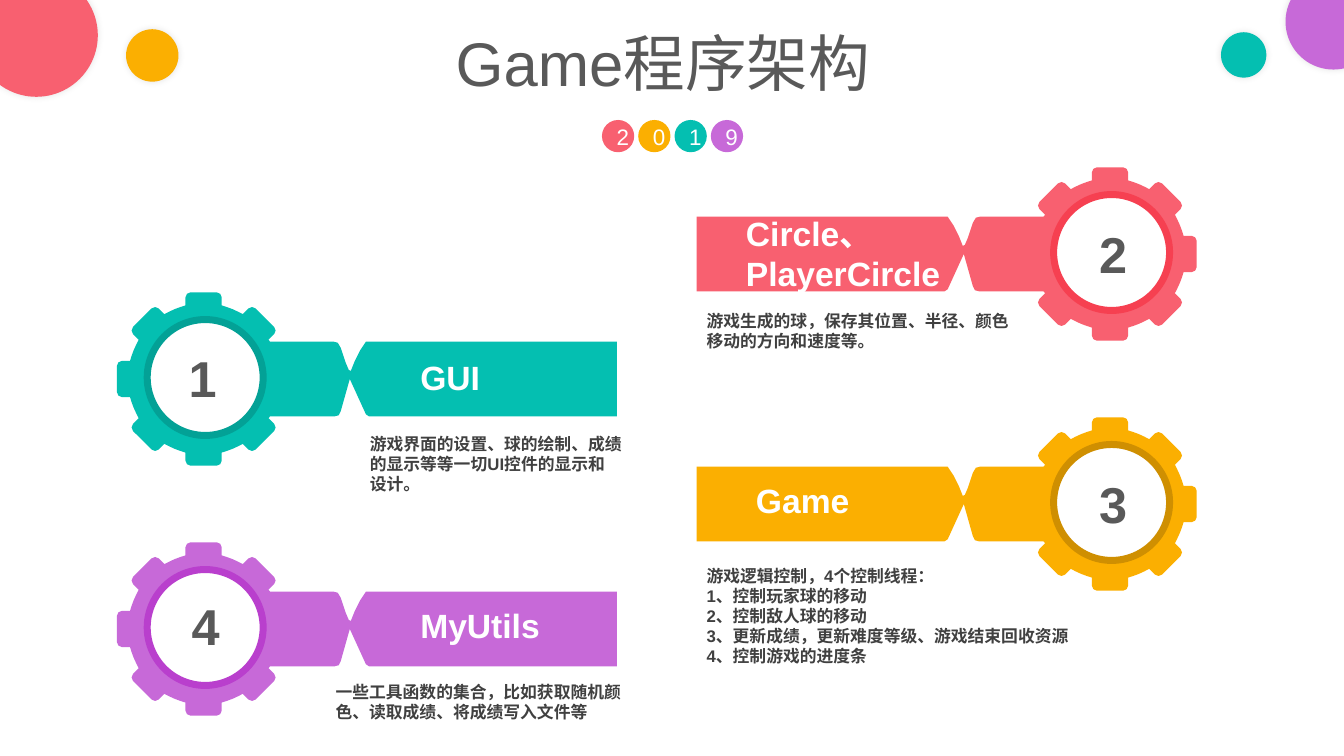
"""Build the slide that shows the four modules of the Game program as gears."""
from math import cos, radians, sin

from lxml.etree import SubElement as Sub
from pptx import Presentation
from pptx.dml.color import RGBColor as Rgb
from pptx.enum.shapes import MSO_SHAPE as Kind
from pptx.enum.text import MSO_ANCHOR as Anchor, MSO_AUTO_SIZE as Fit, PP_ALIGN as Align
from pptx.oxml.ns import qn
from pptx.util import Pt

PX = 9144
THEME = {
    "font": "Arial",
    "red": "F86070", "gold": "FBAF01", "teal": "04BFB1", "plum": "C769D8",
    "red rim": "F64051", "gold rim": "CF8F01", "teal rim": "03A196", "plum rim": "B93FCD",
    "white": "FFFFFF", "gray": "595959", "dark": "404040",
    "title": 44, "digit": 36, "head": 24, "year": 16, "note": 12, "rim": 5,
}


def write(shape, text, size, color, bold=False, align=Align.LEFT, wrap=False,
          anchor=Anchor.TOP, fit=Fit.SHAPE_TO_FIT_TEXT):
    """Put text in a shape, one paragraph a line."""
    frame = shape.text_frame
    frame.text = text
    frame.word_wrap = wrap
    frame.auto_size = fit
    frame.vertical_anchor = anchor
    for para in frame.paragraphs:
        para.alignment = align
        font = para.runs[0].font
        font.name = THEME["font"]
        font.size = Pt(THEME[size])
        font.bold = bold
        font.color.rgb = Rgb.from_string(THEME[color])


def disc(host, left, top, side, color):
    """Add a plain filled circle."""
    shape = host.add_shape(Kind.OVAL, left * PX, top * PX, side * PX, side * PX)
    shape.shadow.inherit = False
    shape.fill.solid()
    shape.fill.fore_color.rgb = Rgb.from_string(THEME[color])
    shape.line.fill.background()
    return shape


deck = Presentation()
deck.slide_width, deck.slide_height = 1333 * PX, 750 * PX
slide = deck.slides.add_slide(deck.slide_layouts[5])
shapes = slide.shapes

title = shapes.title
title.left, title.top, title.width, title.height = 442 * PX, 20 * PX, 435 * PX, 84 * PX
write(title, "Game程序架构", "title", "gray", wrap=True)

year = shapes.add_group_shape().shapes
for i, (digit, color) in enumerate(zip("2019", ("red", "gold", "teal", "plum"))):
    dot = disc(year, 597 + 36 * i, 119, 32, color)
    write(dot, digit, "year", "white", align=Align.CENTER, wrap=True,
          anchor=Anchor.MIDDLE, fit=Fit.NONE)

for left, top, side, color in (
    (1275, -26, 95, "plum"), (1211, 32, 45, "teal"),
    (-25, -26, 122, "red"), (125, 29, 52, "gold"),
):
    ball = disc(shapes, left, top, side, color)
    glow = Sub(ball.element.spPr.find(qn("a:effectLst")), qn("a:outerShdw"),
               blurRad=str(Pt(5)), dist="0", dir="0", algn="ctr", rotWithShape="0")
    tint = Sub(glow, qn("a:srgbClr"), val="000000")
    Sub(tint, qn("a:alpha"), val="11000")

TOOTH = [(73, -18), (81, -18), (84.5, -16.5), (86, -13),
         (86, 13), (84.5, 16.5), (81, 18), (73, 18)]
GAP = [(75 * cos(radians(a)), 75 * sin(radians(a))) for a in (18, 22.5, 27)]
ARM = [(66, -37), (129, -37), (133, -36), (136, -31), (141, -16), (144, -9),
       (146, -8), (150, -18), (155, -28), (161, -37), (410, -37), (410, 37),
       (164, 37), (161, 35), (145, 0), (136, 32), (134, 36), (130, 37), (66, 37)]
gear = []
for turn in range(45, 360, 45):
    c, s = cos(radians(turn)), sin(radians(turn))
    edge = TOOTH + GAP if turn < 315 else TOOTH
    gear += [(x * c - y * s, x * s + y * c) for x, y in edge]
gear += ARM

CARDS = [
    ("1", "GUI", "teal", 202, 376, 1, (169, 339, 64, 71), (407, 349, 80, 50),
     (357, 425, 273, 71),
     "游戏界面的设置、球的绘制、成绩\n的显示等等一切UI控件的显示和\n设计。"),
    ("4", "MyUtils", "plum", 202, 624, 1, (169, 585, 70, 71), (407, 595, 140, 50),
     (323, 671, 306, 50),
     "一些工具函数的集合，比如获取随机颜\n色、读取成绩、将成绩写入文件等"),
    ("2", "Circle、\nPlayerCircle", "red", 1101, 252, -1, (1069, 216, 70, 71),
     (730, 206, 215, 91), (691, 303, 323, 50),
     "游戏生成的球，保存其位置、半径、颜色\n移动的方向和速度等。"),
    ("3", "Game", "gold", 1101, 500, -1, (1069, 464, 70, 71), (740, 471, 114, 50),
     (691, 556, 383, 111),
     "游戏逻辑控制，4个控制线程：\n1、控制玩家球的移动\n2、控制敌人球的移动\n"
     "3、更新成绩，更新难度等级、游戏结束回收资源\n4、控制游戏的进度条"),
]
for digit, head, color, mid_x, mid_y, way, spot, bar, area, note in CARDS:
    card = shapes.add_group_shape().shapes
    pts = [(round((mid_x + way * x) * PX), round((mid_y + y) * PX)) for x, y in gear]
    pen = card.build_freeform(*pts[0])
    pen.add_line_segments(pts[1:], close=True)
    body = pen.convert_to_shape()
    body.shadow.inherit = False
    body.fill.solid()
    body.fill.fore_color.rgb = Rgb.from_string(THEME[color])
    body.line.fill.background()

    ring = disc(card, mid_x - 56, mid_y - 59, 115, "white")
    ring.line.color.rgb = Rgb.from_string(THEME[color + " rim"])
    ring.line.width = Pt(THEME["rim"])

    label = card.add_textbox(*(v * PX for v in spot))
    write(label, digit, "digit", "gray", bold=True, align=Align.CENTER, wrap=True)
    name = card.add_textbox(*(v * PX for v in bar))
    write(name, head, "head", "white", bold=True)
    memo = shapes.add_textbox(*(v * PX for v in area))
    write(memo, note, "note", "dark", bold=True)

deck.save("out.pptx")
